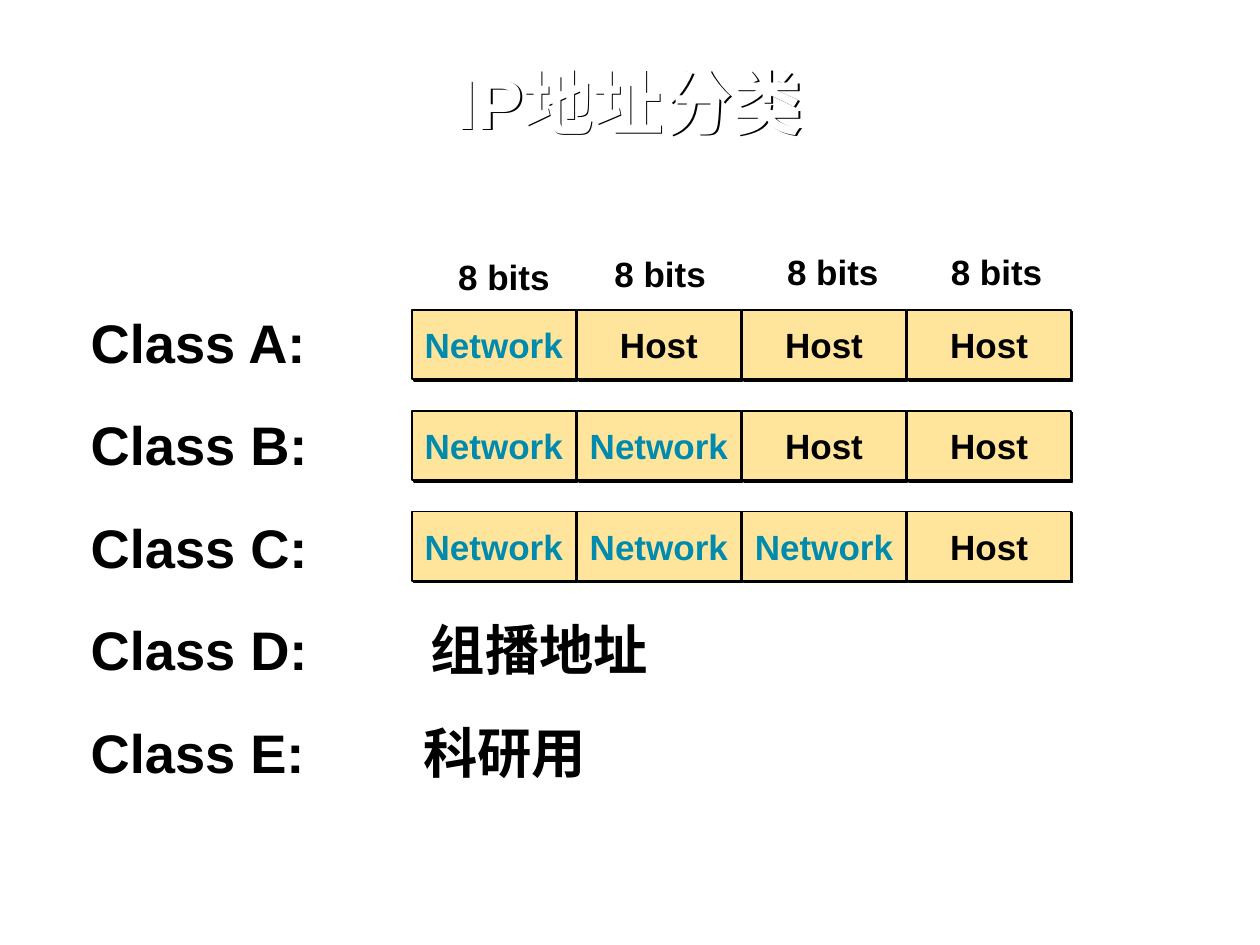
import pptx
import pptx.dml.color
import pptx.enum.shapes
import pptx.enum.text
import pptx.oxml
import pptx.oxml.ns
import pptx.util

Inches = pptx.util.Inches
Pt = pptx.util.Pt
ALIGN = pptx.enum.text.PP_ALIGN
ANCHOR = pptx.enum.text.MSO_ANCHOR
BLACK, WHITE, TEAL, SAND = "000000", "FFFFFF", "008AAE", "FFE59B"
COLUMN_LEFT, COLUMN_STEP, CELL_WIDTH = 3.27, 1.31, 1.3
ROW_TOP, ROW_STEP, CELL_HEIGHT = 2.46, 0.8, 0.55
NAMESPACE = pptx.oxml.ns.nsdecls("a")
SHADOW = (
    f'<a:effectLst {NAMESPACE}><a:outerShdw dist="17780" dir="2700000" algn="ctr" rotWithShape="0">'
    f'<a:srgbClr val="{BLACK}"/></a:outerShdw></a:effectLst>'
)


def colour(value):
    return pptx.dml.color.RGBColor.from_string(value)


def write(box, text, size=20, ink=BLACK, align=ALIGN.CENTER, anchor=ANCHOR.MIDDLE,
          wrap=False, inset=(0, 0), spacing=None, before=0):
    frame = box.text_frame
    frame.word_wrap = wrap
    frame.vertical_anchor = anchor
    frame.margin_left = frame.margin_right = Inches(inset[0])
    frame.margin_top = frame.margin_bottom = Inches(inset[1])
    frame.text = text
    for para in frame.paragraphs:
        para.alignment = align
        para.line_spacing = spacing
        para.space_before = Pt(before)
        for span in para.runs:
            span.font.name = "Arial"
            span.font.size = Pt(size)
            span.font.bold = True
            span.font.color.rgb = colour(ink)
    return frame


deck = pptx.Presentation()
deck.slide_width, deck.slide_height = Inches(10), Inches(7.5)
page = deck.slides.add_slide(deck.slide_layouts[6])

classes = page.shapes.add_textbox(Inches(0.63), Inches(2.45), Inches(7.99), Inches(4.22))
lines = ["Class A:", "Class B:", "Class C:", "Class D:\t组播地址", "Class E:\t科研用"]
frame = write(classes, "\n".join(lines), size=31, align=ALIGN.LEFT, anchor=ANCHOR.TOP,
              wrap=True, inset=(0.09, 0.04), spacing=0.95, before=23.2)
for para, stop in zip(frame.paragraphs[3:], (2.7, 2.64)):
    para._p.get_or_add_pPr().append(pptx.oxml.parse_xml(
        f'<a:tabLst {NAMESPACE}><a:tab pos="{Inches(stop)}" algn="l"/></a:tabLst>'))

title = page.shapes.add_textbox(0, Inches(0.22), deck.slide_width, Inches(1.25))
write(title, "IP地址分类", size=40, ink=WHITE, wrap=True, inset=(0.09, 0.04), spacing=0.9)
title._element.spPr.append(pptx.oxml.parse_xml(SHADOW))

for row in range(3):
    address = page.shapes.add_group_shape()
    for column in range(4):
        cell = address.shapes.add_shape(
            pptx.enum.shapes.MSO_SHAPE.RECTANGLE,
            Inches(COLUMN_LEFT + column * COLUMN_STEP), Inches(ROW_TOP + row * ROW_STEP),
            Inches(CELL_WIDTH), Inches(CELL_HEIGHT))
        cell.fill.solid()
        cell.fill.fore_color.rgb = colour(SAND)
        cell.line.color.rgb = colour(BLACK)
        cell.line.width = Pt(1)
        cell._element.spPr.append(pptx.oxml.parse_xml(SHADOW))
        name, ink = ("Network", TEAL) if column <= row else ("Host", BLACK)
        write(cell, name, ink=ink, inset=(0.16, 0.08))

for left, top in ((3.5, 1.96), (4.74, 1.93), (6.11, 1.92), (7.41, 1.92)):
    bits = page.shapes.add_textbox(Inches(left), Inches(top), Inches(1), Inches(0.48))
    write(bits, "8 bits", spacing=Pt(23.6))

deck.save("out.pptx")
